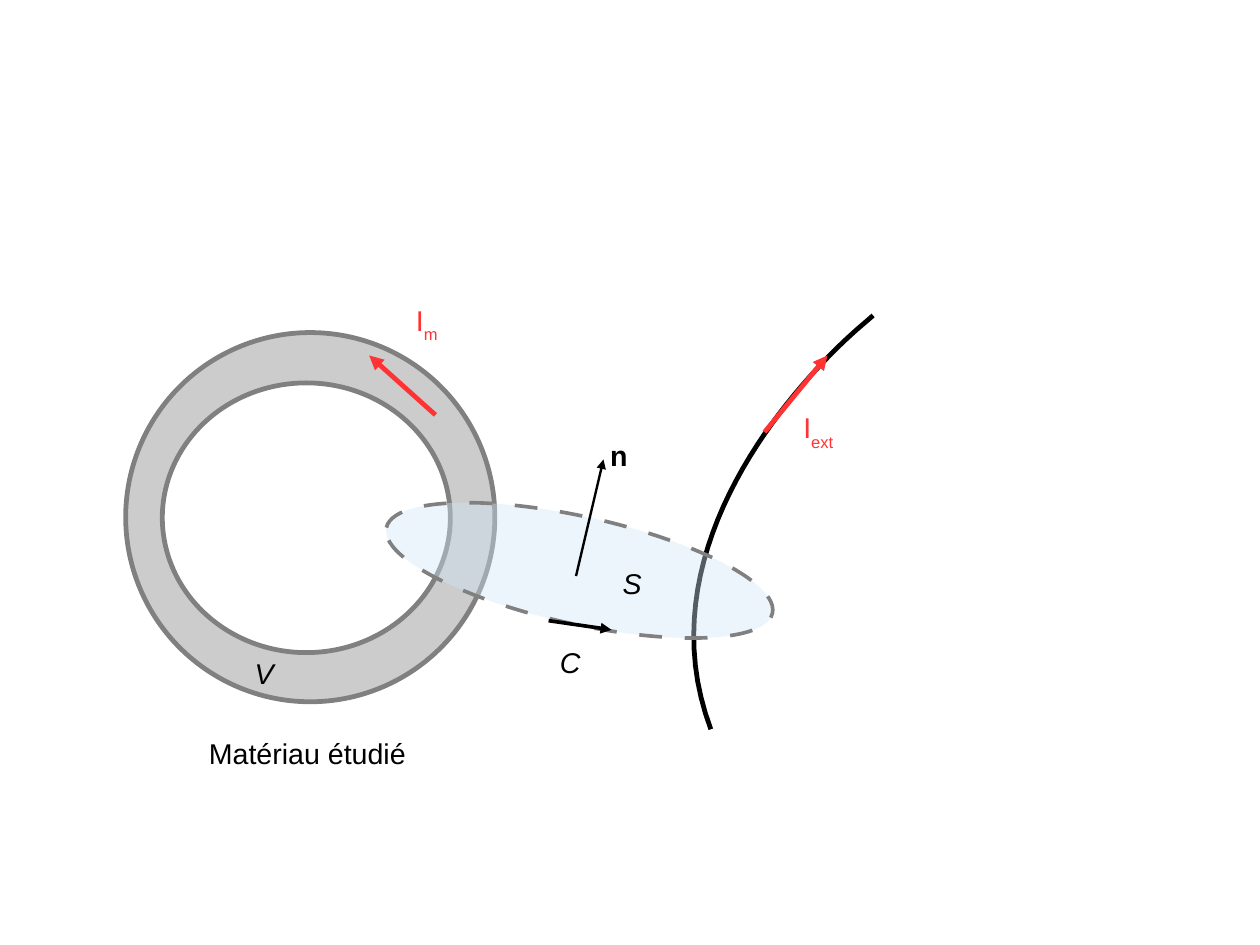
"""Draw a material ring and an external wire linked by an oriented surface."""
from dataclasses import dataclass

from lxml.etree import SubElement
from pptx import Presentation
from pptx.dml.color import RGBColor
from pptx.enum.shapes import MSO_CONNECTOR, MSO_SHAPE
from pptx.enum.text import MSO_AUTO_SIZE
from pptx.oxml.ns import qn
from pptx.util import Emu, Inches, Pt

PAGE_WIDTH, PAGE_HEIGHT = Emu(10080625), Emu(7559675)
BLACK, GREY, RED = "000000", "808080", "FF3333"


@dataclass
class Ellipse:
    left: float
    top: float
    width: float
    height: float
    fill: str
    line_width: float = 3
    rotation: float = 0
    opacity: int = 100
    dashed: bool = False


@dataclass
class Arrow:
    start: tuple[float, float]
    end: tuple[float, float]
    color: str
    width: float


@dataclass
class Label:
    left: float
    top: float
    width: float
    height: float
    text: str
    subscript: str = ""
    color: str = BLACK
    bold: bool = False
    italic: bool = False


RING = [
    Ellipse(1.1, 2.91, 3.23, 3.23, "CCCCCC"),
    Ellipse(1.42, 3.35, 2.52, 2.36, "FFFFFF"),
]
SURFACE = Ellipse(3.34, 4.52, 3.46, 0.94, "CFE7F5", 2.3, 12.5, 40, True)
WIRE_CURVE = [(6.22, 6.38), (5.51, 4.49), (7.56, 2.83), (7.56, 2.83)]
WIRE_END = (7.64, 2.76)
WIRE_STEPS = 40
ARROWS = [
    Arrow((5.04, 5.04), (5.28, 4.02), BLACK, 1.5),
    Arrow((4.8, 5.43), (5.35, 5.51), BLACK, 2.3),
    Arrow((6.69, 3.78), (7.24, 3.11), RED, 3),
    Arrow((3.81, 3.63), (3.23, 3.11), RED, 3),
]
LABELS = [
    Label(6.93, 3.54, 0.79, 0.44, "I", "ext", RED),
    Label(3.54, 2.6, 0.79, 0.44, "I", "m", RED),
    Label(5.24, 3.78, 0.47, 0.39, "n", bold=True),
    Label(5.35, 4.9, 0.39, 0.38, "S", italic=True),
    Label(4.8, 5.59, 0.71, 0.38, "C", italic=True),
    Label(1.73, 6.39, 1.97, 0.38, "Matériau étudié"),
    Label(2.13, 5.69, 0.39, 0.38, "V", italic=True),
]


def paint(fill, color: str) -> None:
    fill.solid()
    fill.fore_color.rgb = RGBColor.from_string(color)


def set_line(line, color: str, width: float) -> None:
    paint(line.fill, color)
    line.width = Pt(width)


def draw_ellipse(page, ellipse: Ellipse) -> None:
    shape = page.shapes.add_shape(
        MSO_SHAPE.OVAL, Inches(ellipse.left), Inches(ellipse.top),
        Inches(ellipse.width), Inches(ellipse.height))
    shape.shadow.inherit = False
    shape.rotation = ellipse.rotation
    paint(shape.fill, ellipse.fill)
    set_line(shape.line, GREY, ellipse.line_width)
    if ellipse.opacity < 100:
        color = shape._element.spPr.find(qn("a:solidFill"))[0]
        SubElement(color, qn("a:alpha"), val=str(ellipse.opacity * 1000))
    if ellipse.dashed:
        outline = shape._element.spPr.find(qn("a:ln"))
        dashes = SubElement(outline, qn("a:custDash"))
        SubElement(dashes, qn("a:ds"), d="625000", sp="625000")


def bezier_point(controls: list[tuple[float, float]], t: float) -> tuple[float, float]:
    weights = ((1 - t) ** 3, 3 * t * (1 - t) ** 2, 3 * t ** 2 * (1 - t), t ** 3)
    x, y = (sum(w * value for w, value in zip(weights, axis)) for axis in zip(*controls))
    return x, y


def draw_wire(page) -> None:
    points = [bezier_point(WIRE_CURVE, step / WIRE_STEPS) for step in range(WIRE_STEPS + 1)]
    start, *rest = [(Inches(x), Inches(y)) for x, y in [*points, WIRE_END]]
    builder = page.shapes.build_freeform(*start)
    builder.add_line_segments(rest, close=False)
    wire = builder.convert_to_shape()
    wire.shadow.inherit = False
    wire.fill.background()
    set_line(wire.line, BLACK, 3)


def draw_arrow(page, arrow: Arrow) -> None:
    ends = [Inches(value) for value in (*arrow.start, *arrow.end)]
    connector = page.shapes.add_connector(MSO_CONNECTOR.STRAIGHT, *ends)
    set_line(connector.line, arrow.color, arrow.width)
    properties = connector._element.spPr
    SubElement(properties.find(qn("a:ln")), qn("a:tailEnd"), type="triangle")
    SubElement(properties, qn("a:effectLst"))


def draw_label(page, label: Label) -> None:
    box = page.shapes.add_textbox(
        Inches(label.left), Inches(label.top), Inches(label.width), Inches(label.height))
    frame = box.text_frame
    frame.word_wrap = True
    frame.auto_size = MSO_AUTO_SIZE.SHAPE_TO_FIT_TEXT
    para = frame.paragraphs[0]
    para.add_run().text = label.text
    if label.subscript:
        span = para.add_run()
        span.text = label.subscript
        span._r.get_or_add_rPr().set("baseline", "-33000")
    font = para.font
    font.name, font.size = "Arial", Pt(18)
    font.bold, font.italic = label.bold, label.italic
    font.color.rgb = RGBColor.from_string(label.color)


def main() -> None:
    deck = Presentation()
    deck.slide_width, deck.slide_height = PAGE_WIDTH, PAGE_HEIGHT
    page = deck.slides.add_slide(deck.slide_layouts[6])
    for ellipse in RING:
        draw_ellipse(page, ellipse)
    draw_wire(page)
    draw_ellipse(page, SURFACE)
    for arrow in ARROWS:
        draw_arrow(page, arrow)
    for label in LABELS:
        draw_label(page, label)
    deck.save("out.pptx")


if __name__ == "__main__":
    main()
